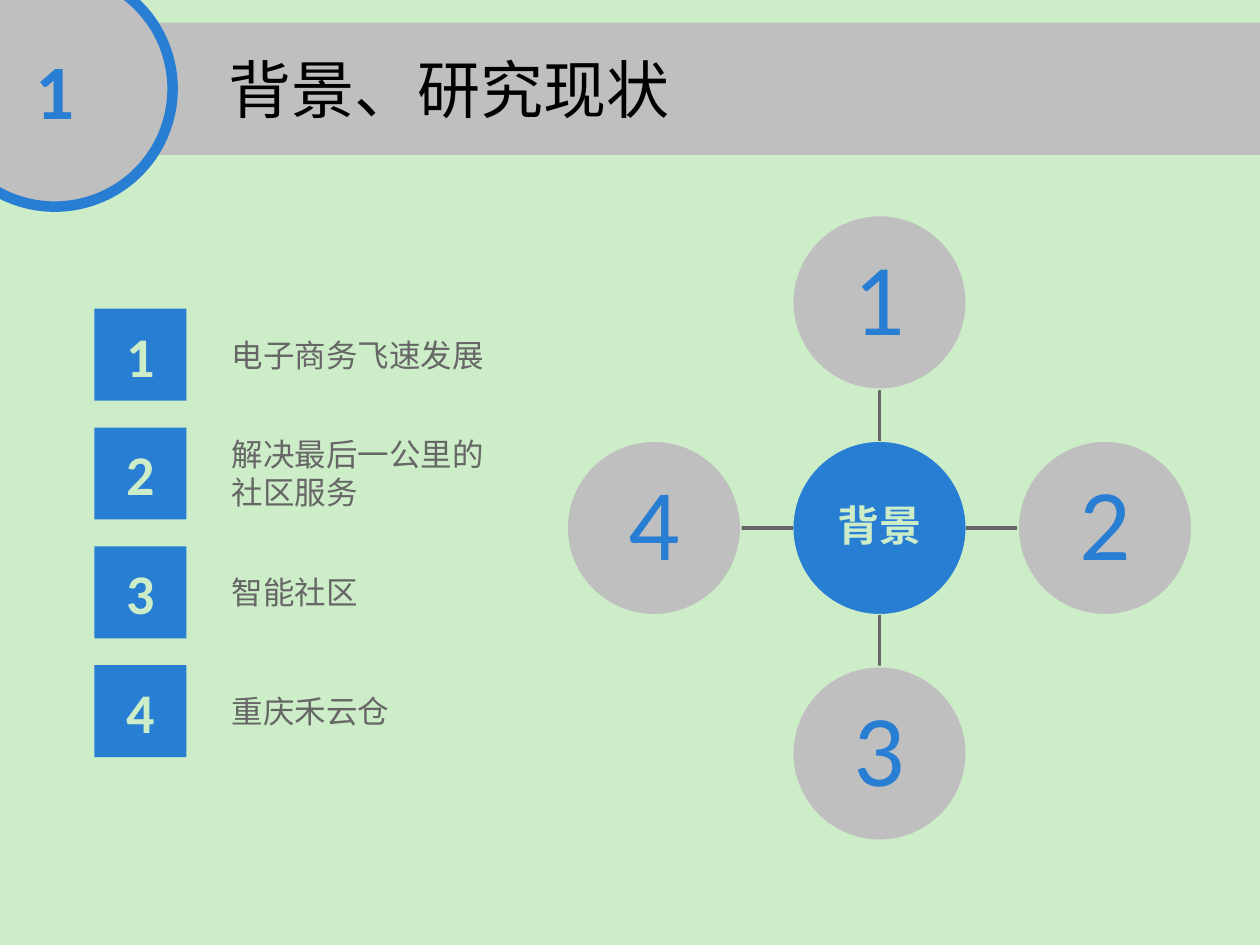
from dataclasses import dataclass

from lxml.etree import SubElement
from pptx import Presentation
from pptx.dml.color import RGBColor
from pptx.enum.shapes import MSO_CONNECTOR, MSO_SHAPE
from pptx.enum.text import MSO_ANCHOR, MSO_AUTO_SIZE, PP_ALIGN
from pptx.oxml.ns import qn
from pptx.util import Inches, Pt


@dataclass(frozen=True)
class Theme:
    """Colours, fonts and type sizes of the slide."""
    background: str = "CCEDC7"
    accent: str = "287ED3"
    neutral: str = "BFBFBF"
    body: str = "666666"
    black: str = "000000"
    latin: str = "Calibri"
    chinese: str = "Noto Sans CJK SC"
    title_size: int = 36
    badge_size: int = 44
    hub_size: int = 24
    node_size: int = 58
    box_size: int = 32
    label_size: int = 18


def write_text(shape, text, *, size, color, font, bold=False, align=PP_ALIGN.LEFT,
               anchor=MSO_ANCHOR.TOP, spacing=None, inset=None):
    """Write one paragraph per line of text with the given format."""
    frame = shape.text_frame
    frame.word_wrap = True
    frame.auto_size = MSO_AUTO_SIZE.NONE
    frame.vertical_anchor = anchor
    if inset is not None:
        frame.margin_left = frame.margin_right = Inches(inset)
        frame.margin_top = frame.margin_bottom = Inches(inset)
    for index, line in enumerate(text.split("\n")):
        paragraph = frame.add_paragraph() if index else frame.paragraphs[0]
        paragraph.alignment = align
        paragraph.line_spacing = spacing
        run = paragraph.add_run()
        run.text = line
        run.font.size = Pt(size)
        run.font.bold = bold
        run.font.color.rgb = RGBColor.from_string(color)
        run.font.name = font
        SubElement(run.font._element, qn("a:ea"), typeface=font)


class SlideBuilder:
    """Draws themed elements on the current slide."""

    def __init__(self, slide, theme):
        """Keep the slide and theme, and paint the background."""
        self.slide = slide
        self.theme = theme
        fill = slide.background.fill
        fill.solid()
        fill.fore_color.rgb = RGBColor.from_string(theme.background)

    def title(self, text, left, top, width, height):
        """Place the title in front of the shapes drawn so far."""
        title = self.slide.shapes.title
        title.left, title.top = Inches(left), Inches(top)
        title.width, title.height = Inches(width), Inches(height)
        title.element.getparent().append(title.element)
        write_text(title, text, size=self.theme.title_size, color=self.theme.black,
                   font=self.theme.chinese)

    def shape(self, kind, left, top, width, height, fill, line=None, line_width=1,
              text=None, **text_format):
        """Add a filled preset shape with optional outline and centred text."""
        shape = self.slide.shapes.add_shape(
            kind, Inches(left), Inches(top), Inches(width), Inches(height))
        shape.shadow.inherit = False
        shape.fill.solid()
        shape.fill.fore_color.rgb = RGBColor.from_string(fill)
        if line:
            shape.line.color.rgb = RGBColor.from_string(line)
            shape.line.width = Pt(line_width)
        else:
            shape.line.fill.background()
        if text:
            write_text(shape, text, align=PP_ALIGN.CENTER, anchor=MSO_ANCHOR.MIDDLE,
                       **text_format)

    def circle(self, center_x, center_y, radius, fill, text, **text_format):
        """Add a diagram circle around its centre."""
        self.shape(MSO_SHAPE.OVAL, center_x - radius, center_y - radius,
                   2 * radius, 2 * radius, fill, line=self.theme.background,
                   text=text, spacing=0.9, inset=0.04, **text_format)

    def connector(self, start_x, start_y, end_x, end_y):
        """Add a straight line between two points."""
        connector = self.slide.shapes.add_connector(
            MSO_CONNECTOR.STRAIGHT, Inches(start_x), Inches(start_y),
            Inches(end_x), Inches(end_y))
        connector.line.color.rgb = RGBColor.from_string(self.theme.body)
        connector.line.width = Pt(2.25)
        SubElement(connector.element.spPr, qn("a:effectLst"))

    def label(self, text, left, center_y, width):
        """Add a label centred on a height, as tall as its lines."""
        height = 0.09 + 0.31 * len(text.split("\n"))
        box = self.slide.shapes.add_textbox(
            Inches(left), Inches(center_y - height / 2), Inches(width), Inches(height))
        write_text(box, text, size=self.theme.label_size, color=self.theme.body,
                   font=self.theme.chinese)


def draw_header(builder):
    """Draw the title bar, its number badge and the title."""
    theme = builder.theme
    builder.shape(MSO_SHAPE.RECTANGLE, 0.86, 0.18, 9.14, 1.05, theme.neutral)
    builder.shape(MSO_SHAPE.OVAL, -0.5, -0.23, 1.87, 1.87, theme.neutral,
                  line=theme.accent, line_width=6, text="1", size=theme.badge_size,
                  color=theme.accent, font=theme.latin, bold=True)
    builder.title("背景、研究现状", 1.71, 0.35, 6.19, 0.71)


def draw_radial_diagram(builder):
    """Draw the hub and its four numbered circles, clockwise from the top."""
    theme = builder.theme
    hub_x, hub_y, radius, distance = 6.98, 4.19, 0.69, 1.79
    builder.circle(hub_x, hub_y, radius, theme.accent, "背景", size=theme.hub_size,
                   color=theme.background, font=theme.chinese, bold=True)
    directions = [(0, -1), (1, 0), (0, 1), (-1, 0)]
    for number, (step_x, step_y) in enumerate(directions, start=1):
        near, far = radius, distance - radius
        builder.connector(hub_x + step_x * near, hub_y + step_y * near,
                          hub_x + step_x * far, hub_y + step_y * far)
        builder.circle(hub_x + step_x * distance, hub_y + step_y * distance, radius,
                       theme.neutral, str(number), size=theme.node_size,
                       color=theme.accent, font=theme.latin)


def draw_numbered_list(builder):
    """Draw the numbered boxes with their labels."""
    theme = builder.theme
    top, side, pitch = 2.45, 0.73, 2.83 / 3
    labels = ["电子商务飞速发展", "解决最后一公里的\n社区服务", "智能社区", "重庆禾云仓"]
    for row, text in enumerate(labels):
        box_top = top + row * pitch
        builder.shape(MSO_SHAPE.RECTANGLE, 0.75, box_top, side, side, theme.accent,
                      text=str(row + 1), size=theme.box_size, color=theme.background,
                      font=theme.latin, bold=True)
        builder.label(text, 1.74, box_top + side / 2, 2.76)


def main():
    """Build and save the presentation."""
    presentation = Presentation()
    presentation.slide_width, presentation.slide_height = Inches(10), Inches(7.5)
    slide = presentation.slides.add_slide(presentation.slide_layouts[5])
    builder = SlideBuilder(slide, Theme())
    draw_header(builder)
    draw_radial_diagram(builder)
    draw_numbered_list(builder)
    presentation.save("out.pptx")


main()
